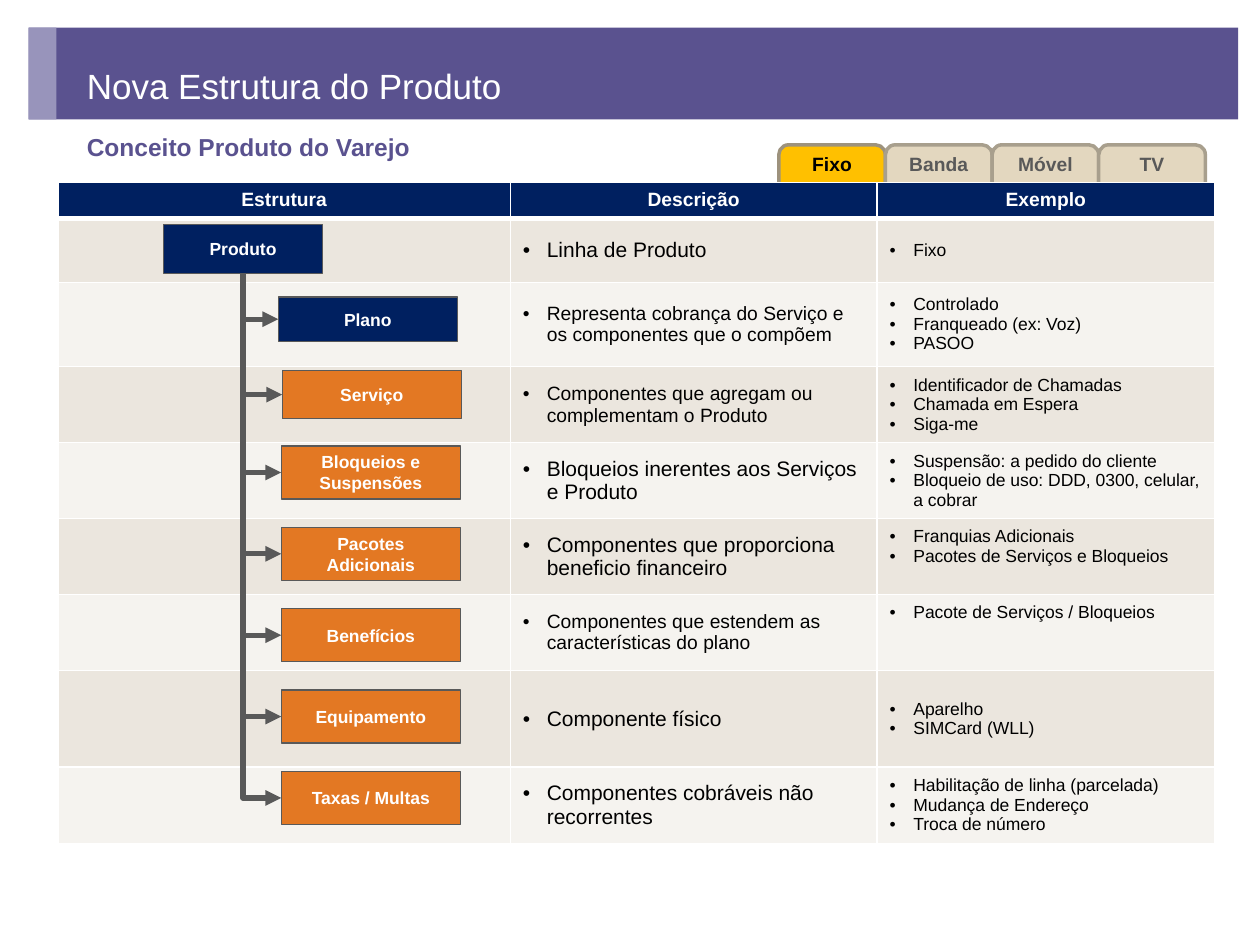
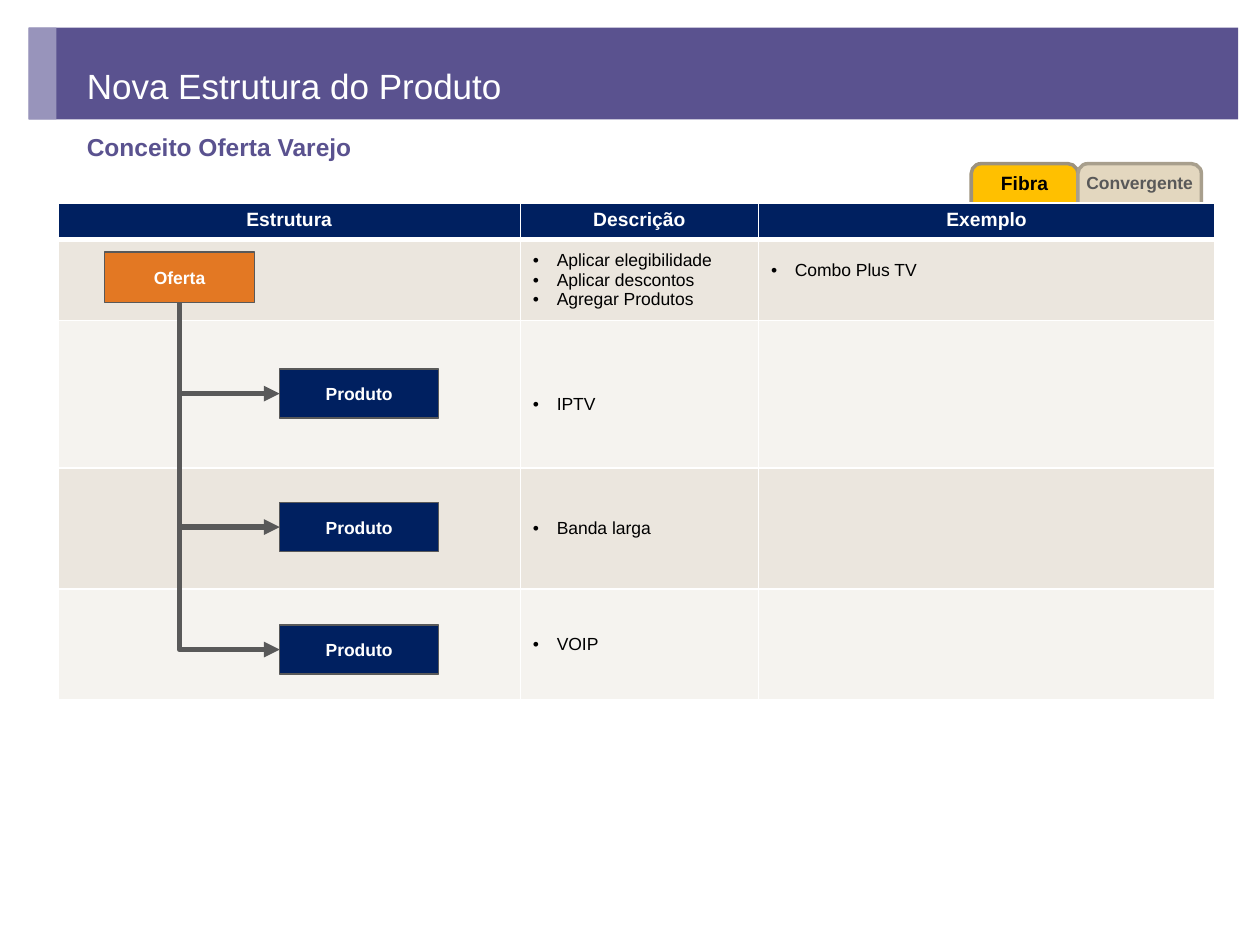
"""Build two slides on the product structure: retail product and retail offer."""
from dataclasses import dataclass
from itertools import accumulate

from lxml.etree import SubElement
from pptx import Presentation
from pptx.dml.color import RGBColor as RGB
from pptx.enum.shapes import MSO_CONNECTOR as CONN, MSO_SHAPE as SHAPE
from pptx.enum.text import MSO_ANCHOR as ANCHOR, PP_ALIGN as ALIGN
from pptx.oxml.ns import qn
from pptx.util import Cm, Pt


@dataclass(frozen=True)
class Theme:
    font: str = "Arial"
    white: str = "FFFFFF"
    black: str = "000000"
    band: str = "5A528F"
    accent: str = "9894BB"
    navy: str = "002060"
    orange: str = "E37823"
    gray: str = "595959"
    tab_on: str = "FFC000"
    tab_on_edge: str = "9D927D"
    tab_off: str = "E3D7BF"
    tab_off_edge: str = "A89F8D"
    row_dark: str = "EBE6DE"
    row_light: str = "F5F3EF"
    title: int = 20
    subtitle: int = 14
    head: int = 11
    box: int = 10


T = Theme()
TITLE = "Nova Estrutura do Produto"
HEADERS = ["Estrutura", "Descrição", "Exemplo"]
EMPTY = (10, [], 0)

# Each cell is (type size, lines, upward shift); each box is (text, colour, left, top, width, height).
SLIDES = [
    dict(
        subtitle="Conceito Produto do Varejo",
        tabs=[("Fixo", 2.15, 11), ("Banda", 2.15, 11), ("Móvel", 2.15, 11), ("TV", 2.15, 11)],
        tabs_at=(15.7, 2.92),
        top=3.68,
        cols=[9.12, 7.39, 6.81],
        heights=[0.73, 1.28, 1.7, 1.53, 1.53, 1.53, 1.53, 1.95, 1.52],
        rows=[
            ((12, ["Linha de Produto"], 0), (10, ["Fixo"], 0)),
            ((11, ["Representa cobrança do Serviço e os componentes que o compõem"], 0),
             (10, ["Controlado", "Franqueado (ex: Voz)", "PASOO"], 0)),
            ((11, ["Componentes que agregam ou complementam o Produto"], 0),
             (10, ["Identificador de Chamadas", "Chamada em Espera", "Siga-me"], 0)),
            ((12, ["Bloqueios inerentes aos Serviços e Produto"], 0),
             (10, ["Suspensão: a pedido do cliente",
                   "Bloqueio de uso: DDD, 0300, celular, a cobrar"], 0)),
            ((12, ["Componentes que proporciona beneficio financeiro"], 0),
             (10, ["Franquias Adicionais", "Pacotes de Serviços e Bloqueios"], 0.2)),
            ((11, ["Componentes que estendem as características do plano"], 0),
             (10, ["Pacote de Serviços / Bloqueios"], 0.4)),
            ((12, ["Componente físico"], 0), (10, ["Aparelho", "SIMCard (WLL)"], 0)),
            ((12, ["Componentes cobráveis não recorrentes"], 0),
             (10, ["Habilitação de linha (parcelada)", "Mudança de Endereço",
                   "Troca de número"], 0)),
        ],
        root=("Produto", T.navy, 3.3, 4.52, 3.2, 0.99),
        boxes=[
            ("Plano", T.navy, 5.61, 5.99, 3.61, 0.89),
            ("Serviço", T.orange, 5.69, 7.47, 3.61, 0.97),
            *[(name, T.orange, 5.67, 8.99 + 1.64 * i, 3.61, 1.07) for i, name in enumerate(
                ["Bloqueios e Suspensões", "Pacotes Adicionais", "Benefícios",
                 "Equipamento", "Taxas / Multas"])],
        ],
    ),
    dict(
        subtitle="Conceito Oferta Varejo",
        tabs=[("Fibra", 2.15, 11), ("Convergente", 2.49, 10)],
        tabs_at=(19.58, 3.3),
        top=4.09,
        cols=[9.32, 4.8, 9.2],
        heights=[0.74, 1.63, 2.97, 2.44, 2.23],
        rows=[
            ((10, ["Aplicar elegibilidade", "Aplicar descontos", "Agregar Produtos"], 0),
             (10, ["Combo Plus TV"], 0.2)),
            ((10, ["IPTV"], -0.2), EMPTY),
            ((10, ["Banda larga"], 0), EMPTY),
            ((10, ["VOIP"], 0), EMPTY),
        ],
        root=("Oferta", T.orange, 2.11, 5.08, 3.02, 1.02),
        boxes=[("Produto", T.navy, 5.64, y, 3.2, 0.99) for y in (7.44, 10.13, 12.6)],
    ),
]


def write(tf, lines, size, color, bold=False, align=ALIGN.LEFT):
    tf.text = "\n".join(lines)
    for p in tf.paragraphs:
        p.alignment = align
        for r in p.runs:
            r.font.name, r.font.size, r.font.bold = T.font, Pt(size), bold
            r.font.color.rgb = RGB.from_string(color)


def add_block(s, kind, at, fill, edge=None, width=0.75):
    sp = s.shapes.add_shape(kind, *map(Cm, at))
    sp.shadow.inherit = False
    sp.fill.solid()
    sp.fill.fore_color.rgb = RGB.from_string(fill)
    if edge:
        sp.line.color.rgb = RGB.from_string(edge)
        sp.line.width = Pt(width)
    else:
        sp.line.fill.background()
    return sp


def add_label(s, at, text, size, color, bold=False):
    tf = s.shapes.add_textbox(*map(Cm, at)).text_frame
    tf.word_wrap = True
    write(tf, [text], size, color, bold)
    return tf


def add_frame(s, subtitle):
    add_block(s, SHAPE.RECTANGLE, (0.58, 0.56, 24.38, 1.85), T.band)
    add_block(s, SHAPE.RECTANGLE, (0.58, 0.56, 0.56, 1.85), T.accent)
    add_label(s, (1.5, 0.84, 20.96, 1.78), TITLE, T.title, T.white).vertical_anchor = ANCHOR.MIDDLE
    tf = add_label(s, (1.5, 2.59, 20.93, 0.81), subtitle, T.subtitle, T.band, True)
    tf.paragraphs[0].line_spacing = 0.93


def add_tabs(s, tabs, left, top):
    lefts = accumulate((w for _, w, _ in tabs), initial=left)
    for i, ((text, w, size), x) in enumerate(zip(tabs, lefts)):
        fill, edge, color = ((T.tab_off, T.tab_off_edge, T.gray) if i
                             else (T.tab_on, T.tab_on_edge, T.black))
        sp = add_block(s, SHAPE.ROUNDED_RECTANGLE, (x, top, w, 1.19), fill, edge, 2)
        tf = sp.text_frame
        tf.margin_left = tf.margin_right = tf.margin_top = tf.margin_bottom = Cm(0.1)
        tf.vertical_anchor = ANCHOR.TOP
        write(tf, [text], size, color, True, ALIGN.CENTER)


def style_cell(cell, fill, bottom=1):
    tc_pr = cell._tc.get_or_add_tcPr()
    for side, width in zip("LRTB", (1, 1, 1, bottom)):
        ln = SubElement(tc_pr, qn(f"a:ln{side}"), w=str(Pt(width)))
        SubElement(SubElement(ln, qn("a:solidFill")), qn("a:srgbClr"), val=T.white)
    cell.fill.solid()
    cell.fill.fore_color.rgb = RGB.from_string(fill)


def add_bullets(cell, size, lines, lift):
    cell.vertical_anchor = ANCHOR.MIDDLE
    cell.margin_top = Cm(0.13 + 2 * max(-lift, 0))
    cell.margin_bottom = Cm(0.13 + 2 * max(lift, 0))
    write(cell.text_frame, lines, size, T.black)
    for p in cell.text_frame.paragraphs:
        p_pr = p._p.get_or_add_pPr()
        p_pr.set("marL", str(Cm(0.48)))
        p_pr.set("indent", str(Cm(-0.48)))
        SubElement(p_pr, qn("a:buFont"), typeface=T.font)
        SubElement(p_pr, qn("a:buChar"), char="•")


def add_grid(s, top, cols, heights, rows):
    table = s.shapes.add_table(len(heights), len(cols), Cm(1.17), Cm(top),
                               Cm(sum(cols)), Cm(sum(heights))).table
    for col, w in zip(table.columns, cols):
        col.width = Cm(w)
    for row, h in zip(table.rows, heights):
        row.height = Cm(h)
    for c, text in enumerate(HEADERS):
        cell = table.cell(0, c)
        style_cell(cell, T.navy, 3)
        write(cell.text_frame, [text], T.head, T.white, True, ALIGN.CENTER)
    for r, content in enumerate(rows, 1):
        for c in range(len(cols)):
            style_cell(table.cell(r, c), T.row_dark if r % 2 else T.row_light)
        for c, (size, lines, lift) in enumerate(content, 1):
            if lines:
                add_bullets(table.cell(r, c), size, lines, lift)


def add_box(s, text, fill, *at):
    sp = add_block(s, SHAPE.RECTANGLE, at, fill, T.gray)
    sp.text_frame.vertical_anchor = ANCHOR.MIDDLE
    write(sp.text_frame, [text], T.box, T.white, True, ALIGN.CENTER)


def add_branch(s, x1, y1, x2, y2):
    mx, my, dx, dy = (x1 + x2) / 2, (y1 + y2) / 2, x2 - x1, y2 - y1
    cn = s.shapes.add_connector(CONN.ELBOW, Cm(mx + dy / 2), Cm(my - dx / 2),
                                Cm(mx - dy / 2), Cm(my + dx / 2))
    cn.line.color.rgb = RGB.from_string(T.gray)
    cn.line.width = Pt(3)
    sp_pr = cn._element.spPr
    sp_pr.find(qn("a:xfrm")).set("rot", str(270 * 60000))
    sp_pr.find(qn("a:prstGeom")).set("prst", "bentConnector2")
    SubElement(sp_pr.find(qn("a:ln")), qn("a:tailEnd"), type="triangle")
    SubElement(sp_pr, qn("a:effectLst"))


def add_tree(s, root, boxes):
    _, _, left, top, w, h = root
    add_box(s, *root)
    for box in boxes:
        add_box(s, *box)
        add_branch(s, left + w / 2, top + h, box[2], box[3] + box[5] / 2)


def main():
    prs = Presentation()
    prs.slide_width, prs.slide_height = Cm(25.4), Cm(19.05)
    for d in SLIDES:
        s = prs.slides.add_slide(prs.slide_layouts[6])
        add_frame(s, d["subtitle"])
        add_tabs(s, d["tabs"], *d["tabs_at"])
        add_grid(s, d["top"], d["cols"], d["heights"], d["rows"])
        add_tree(s, d["root"], d["boxes"])
    prs.save("out.pptx")


if __name__ == "__main__":
    main()
